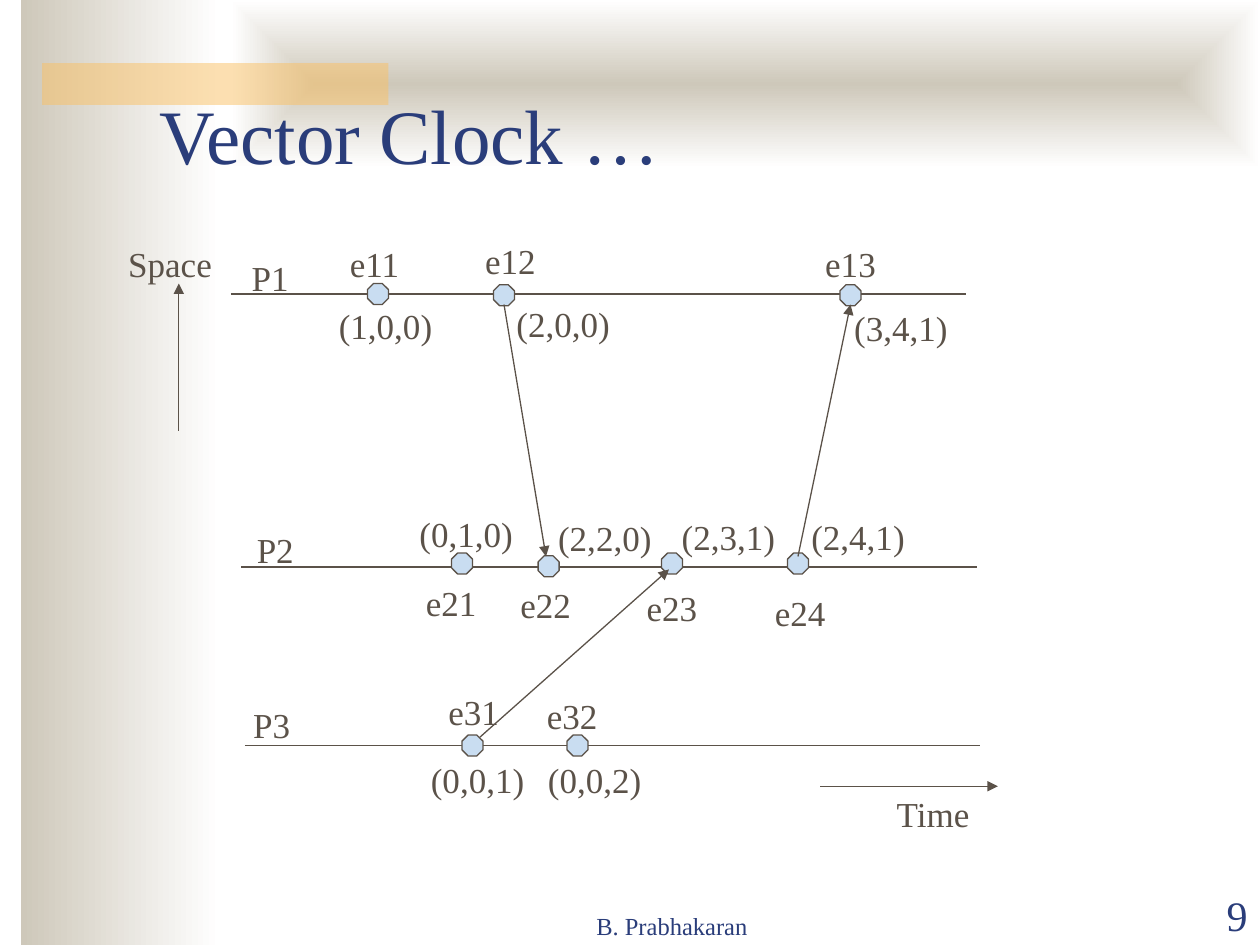
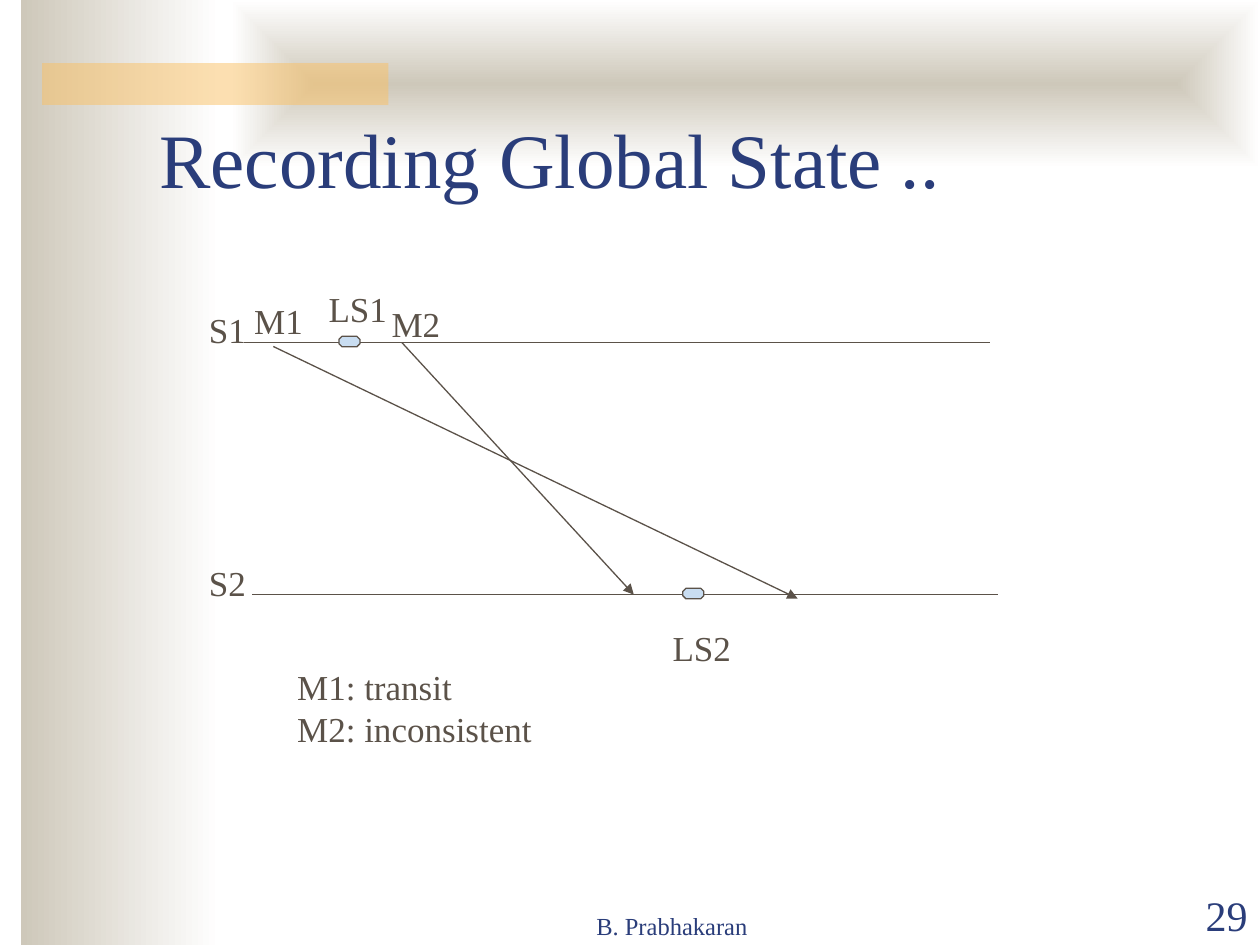
from lxml import etree
from pptx import Presentation
from pptx.dml.color import RGBColor
from pptx.enum.shapes import MSO_CONNECTOR, MSO_SHAPE
from pptx.enum.text import MSO_ANCHOR, MSO_AUTO_SIZE, PP_ALIGN
from pptx.oxml.ns import qn
from pptx.util import Pt

RECTANGLE, OCTAGON = MSO_SHAPE.RECTANGLE, MSO_SHAPE.OCTAGON
STRAIGHT = MSO_CONNECTOR.STRAIGHT
TOP, MIDDLE, BOTTOM = MSO_ANCHOR.TOP, MSO_ANCHOR.MIDDLE, MSO_ANCHOR.BOTTOM
LEFT, CENTER, RIGHT = PP_ALIGN.LEFT, PP_ALIGN.CENTER, PP_ALIGN.RIGHT
NO_AUTOSIZE = MSO_AUTO_SIZE.NONE

FONT = "Times New Roman"
NAVY, BROWN, PALE_BLUE = "2A3D7A", "5B5249", "C9DDF1"
SAND, WHITE, AMBER = "CEC8BA", "FFFFFF", "FAC164"
LABEL_HEIGHT = 31.7
PROCESS_WIDTH, EVENT_WIDTH, VECTOR_WIDTH = 35, 43, 68


def rgb(hex_code):
    return RGBColor.from_string(hex_code)


def points(*lengths):
    return [Pt(length) for length in lengths]


def write(frame, text, size=20, color=BROWN, align=LEFT, anchor=TOP, wrap=False):
    frame.text = text
    frame.auto_size = NO_AUTOSIZE
    frame.word_wrap = wrap
    frame.vertical_anchor = anchor
    for paragraph in frame.paragraphs:
        paragraph.alignment = align
        paragraph.font.name = FONT
        paragraph.font.size = Pt(size)
        paragraph.font.color.rgb = rgb(color)


def add_label(slide, text, left, top, width, height=LABEL_HEIGHT, **style):
    label = slide.shapes.add_textbox(*points(left, top, width, height))
    write(label.text_frame, text, **style)


def add_centred_label(slide, text, x, y, width):
    add_label(slide, text, x - width / 2, y - LABEL_HEIGHT / 2, width,
              align=CENTER, anchor=MIDDLE)


def add_line(slide, start, end, arrow=False):
    line = slide.shapes.add_connector(STRAIGHT, *points(*start, *end))
    line.line.color.rgb = rgb(BROWN)
    line.line.width = Pt(0.75)
    if arrow:
        outline = line.line._get_or_add_ln()
        etree.SubElement(outline, qn("a:tailEnd"), type="triangle")
    etree.SubElement(line.element.spPr, qn("a:effectLst"))


def add_marker(slide, left, top, width, height):
    marker = slide.shapes.add_shape(OCTAGON, *points(left, top, width, height))
    marker.shadow.inherit = False
    marker.fill.solid()
    marker.fill.fore_color.rgb = rgb(PALE_BLUE)
    marker.line.color.rgb = rgb(BROWN)
    marker.line.width = Pt(0.75)


def add_band(slide, left, top, width, height):
    band = slide.shapes.add_shape(RECTANGLE, *points(left, top, width, height))
    band.shadow.inherit = False
    band.line.fill.background()
    return band


def fade_to_white(band):
    band.fill.gradient()
    band.fill.gradient_angle = 0
    for stop, color in zip(band.fill.gradient_stops, (SAND, WHITE)):
        stop.color.rgb = rgb(color)


def decorate_layout(layout, slide):
    side_band = add_band(slide, 12, 0, 114, 540)
    top_band = add_band(slide, 132, 0, 588, 96)
    accent = add_band(slide, 24, 36, 198, 24)
    fade_to_white(side_band)
    fade_to_white(top_band)
    direction = top_band.element.spPr.find(".//" + qn("a:lin"))
    rays = etree.Element(qn("a:path"), path="rect")
    etree.SubElement(rays, qn("a:fillToRect"), l="50000", t="50000", r="50000", b="50000")
    direction.getparent().replace(direction, rays)
    accent.fill.solid()
    accent.fill.fore_color.rgb = rgb(AMBER)
    tint = accent.element.spPr.find(".//" + qn("a:srgbClr"))
    etree.SubElement(tint, qn("a:alpha"), val="50000")
    for position, band in enumerate((side_band, top_band, accent), start=2):
        layout.shapes.element.insert(position, band.element)


def add_page(deck, layout, title, title_top, number):
    slide = deck.slides.add_slide(layout)
    heading = slide.shapes.title
    heading.left, heading.top, heading.width, heading.height = points(84, title_top, 612, 90)
    write(heading.text_frame, title, size=44, color=NAVY, anchor=BOTTOM, wrap=True)
    add_label(slide, "B. Prabhakaran", 270, 504.7, 228, 36, size=14, color=NAVY,
              align=CENTER, anchor=BOTTOM, wrap=True)
    add_label(slide, str(number), 648, 504.7, 72, 36, size=24, color=NAVY,
              align=RIGHT, anchor=BOTTOM, wrap=True)
    return slide


def draw_vector_clock(slide, left, top):
    def at(x, y):
        return left + x, top + y

    processes = [
        ("P1", 72, 38, 22.4, -9.6),
        ("P2", 78, 194, 19.3, -10.1),
        ("P3", 80, 296, 15.2, -12),
    ]
    for process, x, y, label_dx, label_dy in processes:
        add_line(slide, at(x, y), at(x + 420, y))
        add_centred_label(slide, process, *at(x + label_dx, y + label_dy), PROCESS_WIDTH)

    events = [
        ("e11", "(1,0,0)", (156, 38), (-2, -17.5), (4.3, 17.8)),
        ("e12", "(2,0,0)", (228, 38.7), (3.6, -19.7), (33.8, 16.3)),
        ("e13", "(3,4,1)", (426, 38.7), (0, -18.2), (28.8, 18.5)),
        ("e21", "(0,1,0)", (204, 192), (-6.2, 22.2), (2.4, -17.4)),
        ("e22", "(2,2,0)", (253.5, 193.6), (-1.7, 22), (32.1, -16.2)),
        ("e23", "(2,3,1)", (324, 192), (0, 25), (32.2, -15.3)),
        ("e24", "(2,4,1)", (396, 192), (1.2, 28), (34.3, -15.3)),
        ("e31", "(0,0,1)", (210, 296), (0.7, -19.2), (2.9, 19.7)),
        ("e32", "(0,0,2)", (270, 296), (-3.1, -17), (9.8, 19.7)),
    ]
    for event, vector, (x, y), (name_dx, name_dy), (vector_dx, vector_dy) in events:
        add_marker(slide, *at(x - 6, y - 6), 12, 12)
        add_centred_label(slide, event, *at(x + name_dx, y + name_dy), EVENT_WIDTH)
        add_centred_label(slide, vector, *at(x + vector_dx, y + vector_dy), VECTOR_WIDTH)

    messages = [
        ((228, 44), (252, 188)),
        ((214.3, 291.2), (322.3, 195.4)),
        ((396, 188), (426, 44)),
    ]
    axes = [((408.7, 319.3), (510.2, 319.3)), ((42.2, 116.2), (42.2, 32))]
    for start, end in messages + axes:
        add_line(slide, at(*start), at(*end), arrow=True)
    add_centred_label(slide, "Time", *at(473.2, 335.1), 57)
    add_centred_label(slide, "Space", *at(37.2, 20.5), 62)


def draw_global_state(slide, left, top):
    def at(x, y):
        return left + x, top + y

    for x, y in [(29.7, 35.8), (34, 179.8)]:
        add_line(slide, at(x, y), at(x + 426.2, y))
    messages = [((119.7, 35.8), (252.2, 179.8)), ((46.2, 38), (345.8, 182))]
    for start, end in messages:
        add_line(slide, at(*start), at(*end), arrow=True)
    for local_state in [(83.7, 32.2), (280.2, 176.2)]:
        add_marker(slide, *at(*local_state), 12, 6)
    labels = [
        ("S1", 2.3, 12.8, PROCESS_WIDTH),
        ("S2", 2.3, 157.5, PROCESS_WIDTH),
        ("M1", 28.2, 7.8, 42),
        ("M2", 106.7, 9.2, 42),
        ("LS1", 70.7, 0.6, 47.5),
        ("LS2", 267.3, 194.2, 47.5),
    ]
    for text, x, y, width in labels:
        add_label(slide, text, *at(x, y), width)
    add_label(slide, "M1: transit\nM2: inconsistent", *at(52.7, 216.6), 148, 55.4)


def main():
    deck = Presentation()
    deck.slide_width, deck.slide_height = points(720, 540)
    layout = deck.slide_layouts[5]
    clock_page = add_page(deck, layout, "Vector Clock …", 16.6, 9)
    decorate_layout(layout, clock_page)
    draw_vector_clock(clock_page, 60, 130)
    state_page = add_page(deck, layout, "Recording Global State ..", 30, 29)
    draw_global_state(state_page, 110, 160)
    deck.save("out.pptx")


if __name__ == "__main__":
    main()
